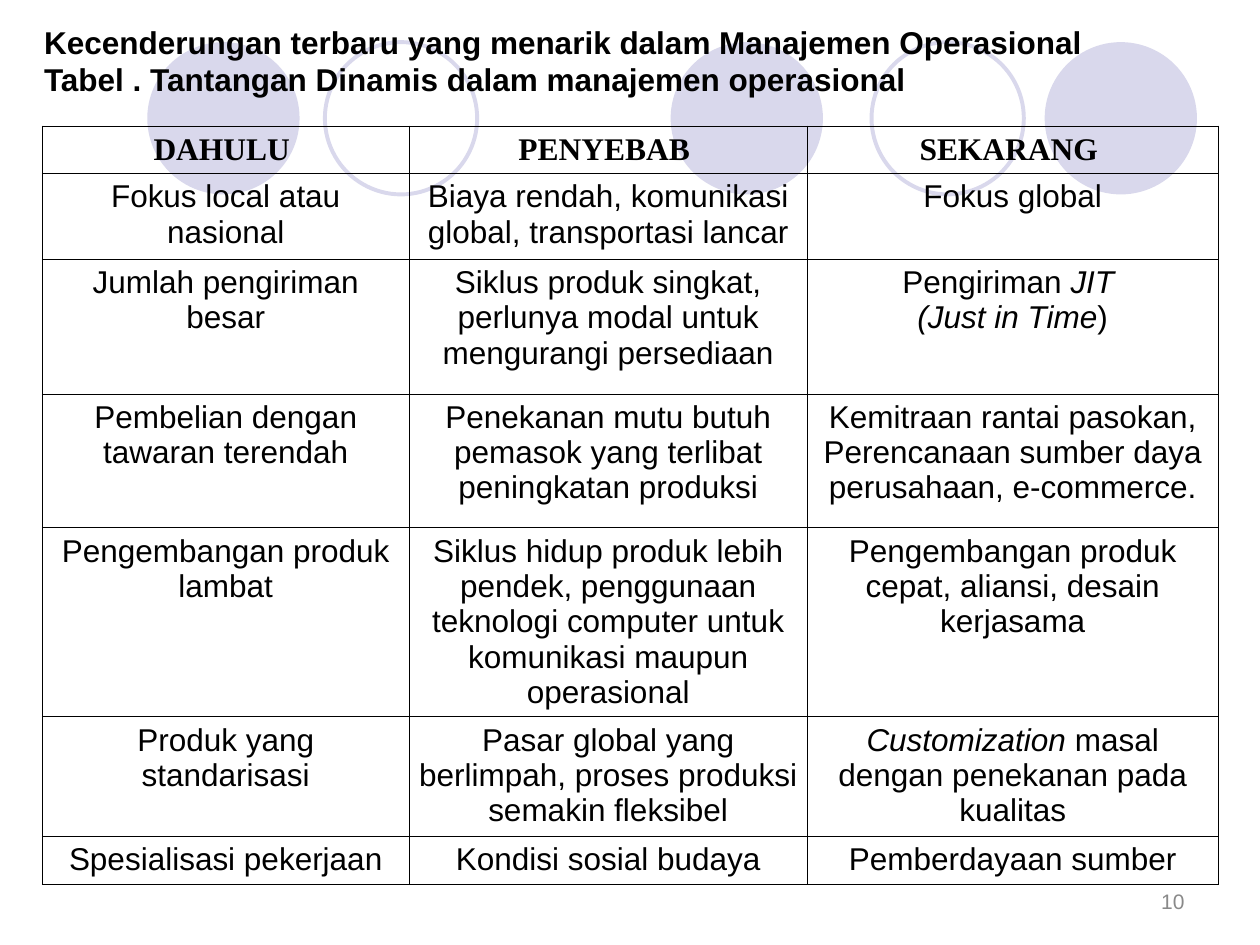
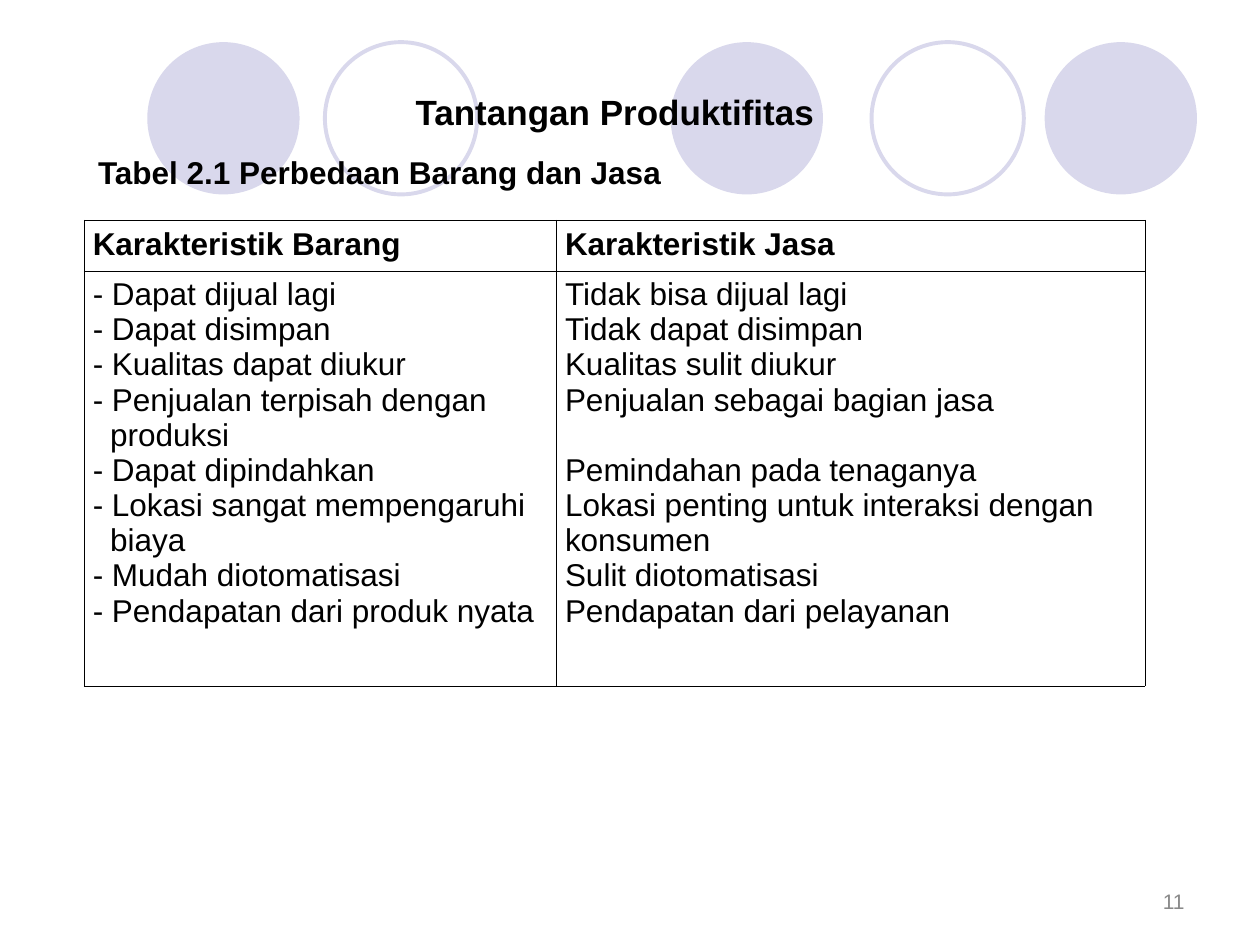
from pptx import Presentation
from pptx.dml.color import RGBColor as Rgb
from pptx.enum.shapes import MSO_SHAPE as Shape
from pptx.enum.text import MSO_ANCHOR as Anchor, PP_ALIGN as Align
from pptx.oxml import parse_xml
from pptx.oxml.ns import nsdecls
from pptx.util import Cm, Pt

HUES = {"ink": "000000", "lilac": "D9D8EC", "grey": "898989"}
DISCS = [(2.97, True), (6.55, False), (13.52, True), (17.57, False), (21.06, True)]
PITCH = 20.1

TRENDS = [
    ["DAHULU ", "PENYEBAB ", "SEKARANG "],
    ["Fokus local atau nasional",
     "Biaya rendah, komunikasi global, transportasi lancar",
     "Fokus global"],
    ["Jumlah pengiriman besar",
     "Siklus produk singkat, perlunya modal untuk mengurangi persediaan",
     "Pengiriman *JIT *\n*(Just in Time*)"],
    ["Pembelian dengan tawaran terendah",
     "Penekanan mutu butuh pemasok yang terlibat peningkatan produksi",
     "Kemitraan rantai pasokan, Perencanaan sumber daya perusahaan, e-commerce."],
    ["Pengembangan produk lambat",
     "Siklus hidup produk lebih pendek, penggunaan teknologi computer "
     "untuk komunikasi maupun operasional",
     "Pengembangan produk cepat, aliansi, desain kerjasama"],
    ["Produk yang standarisasi",
     "Pasar global yang berlimpah, proses produksi semakin fleksibel",
     "*Customization* masal dengan penekanan pada kualitas"],
    ["Spesialisasi pekerjaan", "Kondisi sosial budaya", "Pemberdayaan sumber"],
]

GOODS = """- Dapat dijual lagi
- Dapat disimpan
- Kualitas dapat diukur
- Penjualan terpisah dengan produksi
- Dapat dipindahkan
- Lokasi sangat mempengaruhi biaya
- Mudah diotomatisasi
- Pendapatan dari produk nyata"""

CARE = """Tidak bisa dijual lagi
Tidak dapat disimpan
Kualitas sulit diukur
Penjualan sebagai bagian jasa
Pemindahan pada tenaganya
Lokasi penting untuk interaksi dengan konsumen
Sulit diotomatisasi
Pendapatan dari pelayanan"""


def hue(name):
    return Rgb.from_string(HUES[name])


def write(frame, text, size=18, bold=False, tint="ink", font="Arial",
          align=Align.LEFT, hang=0, gaps=None, pitch=None):
    for row, line in enumerate(text.split("\n")):
        para = frame.paragraphs[0] if row == 0 else frame.add_paragraph()
        para.alignment = align
        if pitch:
            para.line_spacing = Pt(pitch)
        if hang:
            props = para._p.get_or_add_pPr()
            props.set("marL", str(Cm(hang)))
            props.set("indent", str(-Cm(hang)))
        if gaps and row in gaps:
            para.space_before = Pt(gaps[row])
        for part, words in enumerate(line.split("*")):
            if words:
                run = para.add_run()
                run.text = words
                run.font.size = Pt(size)
                run.font.name = font
                run.font.bold = bold
                run.font.italic = part % 2 == 1
                run.font.color.rgb = hue(tint)


def label(slide, box, text, anchor=Anchor.MIDDLE, **style):
    frame = slide.shapes.add_textbox(*map(Cm, box)).text_frame
    frame.word_wrap = True
    frame.vertical_anchor = anchor
    write(frame, text, **style)


def discs(slide, top=0.85, size=3.07):
    for left, solid in DISCS:
        disc = slide.shapes.add_shape(Shape.OVAL, Cm(left), Cm(top), Cm(size), Cm(size))
        disc.shadow.inherit = False
        if solid:
            disc.fill.solid()
            disc.fill.fore_color.rgb = hue("lilac")
            disc.line.fill.background()
        else:
            disc.fill.background()
            disc.line.color.rgb = hue("lilac")
            disc.line.width = Pt(2.25)


def edge(cell):
    props = cell._tc.get_or_add_tcPr()
    for side in "LRTB":
        props.append(parse_xml(
            f'<a:ln{side} {nsdecls("a")} w="{Pt(0.45)}"><a:solidFill>'
            f'<a:srgbClr val="{HUES["ink"]}"/></a:solidFill></a:ln{side}>'))
    cell.fill.background()


def grid(slide, left, top, wide, high, data, style):
    box = map(Cm, (left, top, sum(wide), sum(high)))
    table = slide.shapes.add_table(len(high), len(wide), *box).table
    table.first_row = table.horz_banding = False
    for col, width in zip(table.columns, wide):
        col.width = Cm(width)
    for row, height in zip(table.rows, high):
        row.height = Cm(height)
    for y, line in enumerate(data):
        for x, text in enumerate(line):
            cell = table.cell(y, x)
            cell.margin_left = cell.margin_right = Cm(0.17)
            cell.margin_bottom = Cm(0.05)
            edge(cell)
            write(cell.text_frame, text, pitch=PITCH, **style(y, x))


def start(deck, number):
    slide = deck.slides.add_slide(deck.slide_layouts[6])
    discs(slide)
    label(slide, (18.2, 17.67, 5.93, 1.01), str(number), size=12, tint="grey",
          align=Align.RIGHT)
    return slide


def trends(deck):
    def style(y, x):
        head = {"bold": True, "font": "Times New Roman"} if y == 0 else {}
        return {"align": Align.CENTER, **head}

    slide = start(deck, 10)
    grid(slide, 0.85, 2.54, [7.4, 8.02, 8.29],
         [0.95, 1.73, 2.72, 2.7, 3.81, 2.4, 0.97], TRENDS, style)
    label(slide, (0.64, 0.33, 23.5, 1.78),
          "Kecenderungan terbaru yang menarik dalam Manajemen Operasional\n"
          "Tabel . Tantangan Dinamis dalam manajemen operasional", bold=True)


def traits(deck):
    def style(y, x):
        if y == 0:
            return {"bold": True}
        return {"gaps": {4: PITCH}} if x else {"hang": 0.35}

    slide = start(deck, 11)
    label(slide, (1.7, 1.68, 21.59, 1.12), "Tantangan Produktifitas ", size=20,
          bold=True, align=Align.CENTER)
    label(slide, (1.7, 2.97, 11.91, 1.02), "Tabel 2.1 Perbedaan Barang dan Jasa",
          anchor=Anchor.TOP, bold=True, align=Align.CENTER)
    grid(slide, 1.7, 4.44, [9.52, 11.86], [1.02, 8.37],
         [["Karakteristik Barang", "Karakteristik Jasa"], [GOODS, CARE]], style)


def main():
    deck = Presentation()
    deck.slide_width, deck.slide_height = Cm(25.4), Cm(19.05)
    trends(deck)
    traits(deck)
    deck.save("out.pptx")


if __name__ == "__main__":
    main()
